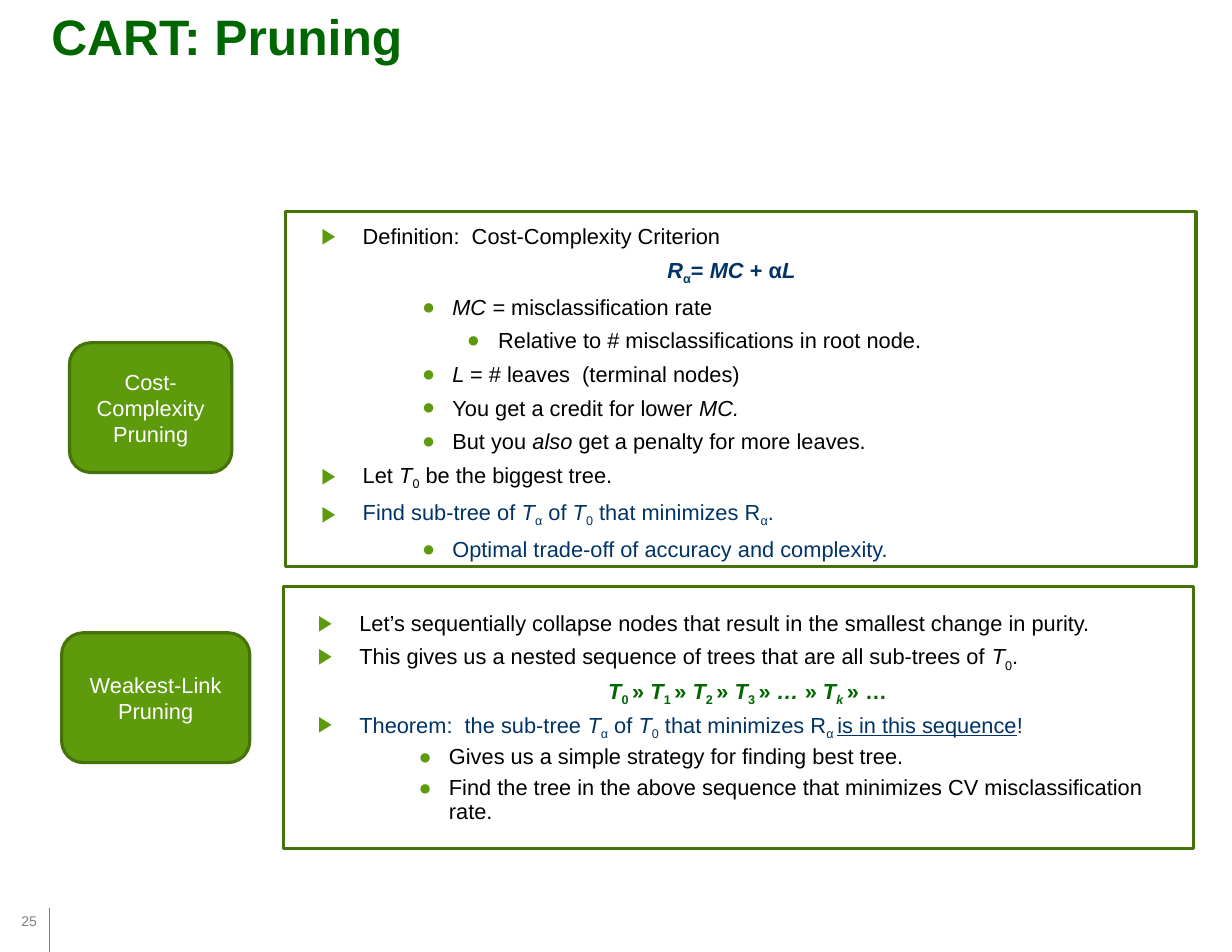
from dataclasses import dataclass

from lxml.etree import SubElement
from pptx import Presentation
from pptx.dml.color import RGBColor
from pptx.enum.shapes import MSO_CONNECTOR, MSO_SHAPE
from pptx.enum.text import MSO_ANCHOR, PP_ALIGN
from pptx.oxml.ns import qn
from pptx.util import Pt

BLACK = RGBColor(0x00, 0x00, 0x00)
WHITE = RGBColor(0xFF, 0xFF, 0xFF)
GRAY = RGBColor(0x80, 0x80, 0x80)
NAVY = RGBColor(0x00, 0x33, 0x66)
DARK_GREEN = RGBColor(0x00, 0x66, 0x00)
LEAF_GREEN = RGBColor(0x5D, 0x9A, 0x0C)
BORDER_GREEN = RGBColor(0x45, 0x72, 0x09)
FONT = "Arial"
BODY_SIZE = 14


@dataclass(frozen=True)
class Box:
    left: float
    top: float
    width: float
    height: float

    def lengths(self) -> tuple:
        return Pt(self.left), Pt(self.top), Pt(self.width), Pt(self.height)


@dataclass(frozen=True)
class TextRun:
    text: str
    italic: bool = False
    subscript: bool = False
    underline: bool = False


@dataclass(frozen=True)
class Level:
    depth: int
    margin: float
    hanging: float
    bullet: str = ""


@dataclass(frozen=True)
class Line:
    level: Level
    runs: list[TextRun]
    color: RGBColor = BLACK


@dataclass(frozen=True)
class Section:
    label: str
    label_box: Box
    frame_box: Box
    text_box: Box
    line_spacing: float
    lines: list[Line]


TOPIC = Level(0, 26.64, 26.64, "▶")
FORMULA = Level(0, 26.64, 26.64)
DETAIL = Level(1, 84.24, 19.44, "●")
SUBDETAIL = Level(2, 113.76, 20.16, "●")


def plain(text: str) -> TextRun:
    return TextRun(text)


def italic(text: str) -> TextRun:
    return TextRun(text, italic=True)


def sub(text: str) -> TextRun:
    return TextRun(text, subscript=True)


def indexed(symbol: str, index: str) -> list[TextRun]:
    return [italic(symbol), sub(index)]


def tree_sequence() -> list[TextRun]:
    runs = []
    for index in "0123":
        runs += [italic("T"), sub(f"{index} "), plain("» ")]
    return runs + [italic("… "), plain("» "), italic("T"),
                   TextRun("k ", italic=True, subscript=True), plain("» …")]


def add_run(paragraph, content: TextRun, size: float, color: RGBColor, bold: bool = False) -> None:
    run = paragraph.add_run()
    run.text = content.text
    font = run.font
    font.name, font.size, font.bold = FONT, Pt(size), bold
    font.italic, font.underline = content.italic, content.underline
    font.color.rgb = color
    if content.subscript:
        font._element.set("baseline", "-25000")


def add_text_box(slide, box: Box):
    frame = slide.shapes.add_textbox(*box.lengths()).text_frame
    frame.word_wrap = True
    return frame


def add_bullet(properties, character: str) -> None:
    color = SubElement(SubElement(properties, qn("a:buClr")), qn("a:srgbClr"))
    color.set("val", str(LEAF_GREEN))
    SubElement(properties, qn("a:buFont")).set("typeface", FONT)
    SubElement(properties, qn("a:buChar")).set("char", character)


def add_line(paragraph, line: Line, line_spacing: float) -> None:
    level = line.level
    is_formula = level is FORMULA
    paragraph.level = level.depth
    paragraph.alignment = PP_ALIGN.CENTER if is_formula else PP_ALIGN.LEFT
    paragraph.line_spacing = line_spacing
    paragraph.space_after = Pt(4.8)
    properties = paragraph._p.get_or_add_pPr()
    properties.set("marL", str(Pt(level.margin)))
    properties.set("indent", str(-Pt(level.hanging)))
    if level.bullet:
        add_bullet(properties, level.bullet)
    for content in line.runs:
        add_run(paragraph, content, BODY_SIZE, line.color, is_formula)


def add_outlined_shape(slide, kind: MSO_SHAPE, box: Box):
    shape = slide.shapes.add_shape(kind, *box.lengths())
    shape.shadow.inherit = False
    shape.fill.background()
    shape.line.color.rgb = BORDER_GREEN
    shape.line.width = Pt(2)
    return shape


def add_section(slide, section: Section) -> None:
    frame = add_text_box(slide, section.text_box)
    for position, line in enumerate(section.lines):
        paragraph = frame.add_paragraph() if position else frame.paragraphs[0]
        add_line(paragraph, line, section.line_spacing)
    add_outlined_shape(slide, MSO_SHAPE.RECTANGLE, section.frame_box)
    label = add_outlined_shape(slide, MSO_SHAPE.ROUNDED_RECTANGLE, section.label_box)
    label.fill.solid()
    label.fill.fore_color.rgb = LEAF_GREEN
    label.text_frame.word_wrap = True
    label.text_frame.vertical_anchor = MSO_ANCHOR.MIDDLE
    paragraph = label.text_frame.paragraphs[0]
    paragraph.alignment = PP_ALIGN.CENTER
    add_run(paragraph, plain(section.label), BODY_SIZE, WHITE)


def add_page_number(slide) -> None:
    rule = slide.shapes.add_connector(MSO_CONNECTOR.STRAIGHT, Pt(31.68), Pt(612), Pt(31.68), Pt(584))
    rule.line.color.rgb = GRAY
    rule.line.width = Pt(0.5)
    SubElement(rule._element.spPr, qn("a:effectLst"))
    frame = add_text_box(slide, Box(5.76, 559.44, 28.08, 42.48))
    frame.vertical_anchor = MSO_ANCHOR.BOTTOM
    frame.margin_left = frame.margin_right = Pt(7.92)
    frame.margin_top = frame.margin_bottom = Pt(4.32)
    add_run(frame.paragraphs[0], plain("25"), 9, GRAY)


SECTIONS = [
    Section("Cost-Complexity Pruning", Box(44.64, 220.32, 104.4, 83.52),
            Box(183.6, 136.08, 585.36, 228.24), Box(199.44, 139.68, 541.44, 259.2), 1.0, [
        Line(TOPIC, [plain("Definition:  Cost-Complexity Criterion")]),
        Line(FORMULA, [*indexed("R", "α"), plain("= "), italic("MC"), plain(" + α"), italic("L")], NAVY),
        Line(DETAIL, [italic("MC = "), plain("misclassification rate")]),
        Line(SUBDETAIL, [plain("Relative to # misclassifications in root node.")]),
        Line(DETAIL, [italic("L "), plain("= # leaves  (terminal nodes)")]),
        Line(DETAIL, [plain("You get a credit for lower "), italic("MC.")]),
        Line(DETAIL, [plain("But you "), italic("also "), plain("get a penalty for more leaves.")]),
        Line(TOPIC, [plain("Let "), *indexed("T", "0"), plain(" be the biggest tree.")]),
        Line(TOPIC, [plain("Find sub-tree of "), *indexed("T", "α"), plain(" of "), *indexed("T", "0"),
                     plain(" that minimizes R"), sub("α"), plain(".")], NAVY),
        Line(DETAIL, [plain("Optimal trade-off of accuracy and complexity.")], NAVY),
    ]),
    Section("Weakest-Link Pruning", Box(39.6, 406.8, 120.96, 83.52),
            Box(182.16, 377.28, 585.36, 168.48), Box(197.28, 390.24, 566.64, 139.68), 0.9, [
        Line(TOPIC, [plain("Let’s sequentially collapse nodes that result in the smallest change in purity.")]),
        Line(TOPIC, [plain("This gives us a nested sequence of trees that are all sub-trees of "),
                     *indexed("T", "0"), plain(".")]),
        Line(FORMULA, tree_sequence(), DARK_GREEN),
        Line(TOPIC, [plain("Theorem:  the sub-tree "), *indexed("T", "α"), plain(" of "), *indexed("T", "0"),
                     plain(" that minimizes R"), sub("α "),
                     TextRun("is in this sequence", underline=True), plain("!")], NAVY),
        Line(DETAIL, [plain("Gives us a simple strategy for finding best tree.")]),
        Line(DETAIL, [plain("Find the tree in the above sequence that minimizes CV misclassification rate.")]),
    ]),
]


def main() -> None:
    presentation = Presentation()
    presentation.slide_width, presentation.slide_height = Pt(792), Pt(612)
    slide = presentation.slides.add_slide(presentation.slide_layouts[6])
    add_page_number(slide)
    title = add_text_box(slide, Box(25.92, 0, 739.44, 88.56))
    add_run(title.paragraphs[0], plain("CART: Pruning"), 32, DARK_GREEN, True)
    for section in SECTIONS:
        add_section(slide, section)
    presentation.save("out.pptx")


if __name__ == "__main__":
    main()
